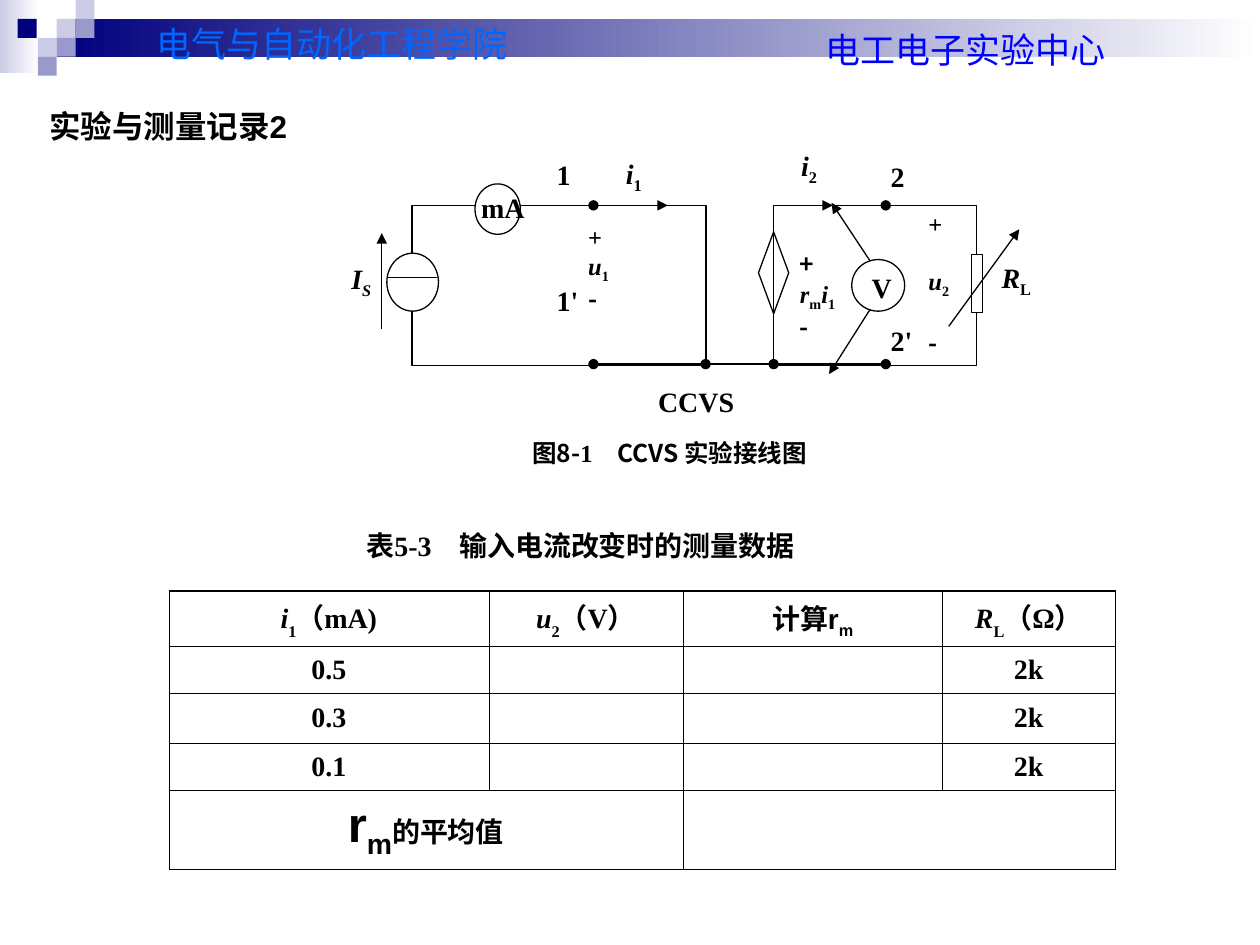
"""Build the CCVS experiment slide with its circuit diagram and record table."""
from dataclasses import dataclass
from typing import NamedTuple, Optional

from lxml.etree import SubElement
from pptx import Presentation
from pptx.dml.color import RGBColor
from pptx.enum.shapes import MSO_CONNECTOR, MSO_SHAPE
from pptx.enum.text import MSO_ANCHOR, PP_ALIGN
from pptx.oxml.ns import qn
from pptx.util import Inches, Pt


@dataclass(frozen=True)
class Theme:
    navy: str = "00007D"
    lilac: str = "CCCCE6"
    violet: str = "9999CC"
    white: str = "FFFFFF"
    black: str = "000000"
    center_blue: str = "0000FF"
    college_blue: str = "0066FF"
    serif: str = "Times New Roman"
    sans: str = "Arial"
    cjk: str = "Noto Sans CJK SC"
    banner: int = 20
    heading: int = 18
    body: int = 16
    small: int = 14
    symbol: int = 28
    wire: float = 0.75
    grid: float = 0.45
    frame: float = 0.96


THEME = Theme()


class Run(NamedTuple):
    text: str
    italic: bool = False
    baseline: int = 0
    font: Optional[str] = None
    size: Optional[int] = None


class Box(NamedTuple):
    left: float
    top: float
    width: float
    height: float

    def lengths(self):
        return [Inches(value) for value in self]


class Label(NamedTuple):
    box: Box
    lines: list
    size: int = THEME.body
    font: str = THEME.serif
    color: str = THEME.black
    bold: bool = True
    align: PP_ALIGN = PP_ALIGN.LEFT
    anchor: MSO_ANCHOR = MSO_ANCHOR.TOP
    spacing: Optional[float] = None


class Wire(NamedTuple):
    start: tuple
    end: tuple
    head: Optional[str] = None
    tail: Optional[str] = None


def symbol(letter: str, index: str, baseline: int = -25) -> list:
    """Return an italic letter with an upright subscript."""
    return [Run(letter, italic=True), Run(index, baseline=baseline)]


MINUS = [Run("-", font=THEME.cjk)]

SQUARES = [
    (0.45, 0.15, THEME.lilac), (0.6, 0, THEME.lilac), (0.6, 0.15, THEME.violet),
    (0.3, 0.3, THEME.lilac), (0.14, 0.15, THEME.navy), (0.45, 0.3, THEME.violet),
    (0.3, 0.45, THEME.violet),
]
TOP, BOTTOM = 1.63, 2.89
PORT_1, INPUT_END, OUTPUT_START, PORT_2 = 4.71, 5.6, 6.14, 7.03
LOOPS = [Box(OUTPUT_START, TOP, 1.61, 1.27), Box(3.27, TOP, 2.34, 1.27)]
WIRES = [
    Wire((PORT_1, BOTTOM), (PORT_2, BOTTOM), "oval", "oval"),
    Wire((PORT_1, TOP), (INPUT_END, TOP), "oval"),
    Wire((OUTPUT_START, TOP), (PORT_2, TOP), None, "oval"),
    Wire((OUTPUT_START, TOP), (OUTPUT_START, BOTTOM), None, "oval"),
    Wire((INPUT_END, TOP), (INPUT_END, BOTTOM), None, "oval"),
    Wire((4.93, TOP), (5.3, TOP), None, "triangle"),
    Wire((6.24, TOP), (6.61, TOP), None, "triangle"),
]
METER_LEADS = [(6.6, 1.61), (7.03, 2.26), (6.58, 2.97)]
DEVICES = [
    (MSO_SHAPE.OVAL, Box(3.77, 1.46, 0.36, 0.4), THEME.white),
    (MSO_SHAPE.OVAL, Box(3.07, 2.01, 0.41, 0.46), THEME.white),
    (MSO_SHAPE.OVAL, Box(6.76, 2.06, 0.42, 0.41), THEME.white),
    (MSO_SHAPE.RECTANGLE, Box(7.71, 2.02, 0.09, 0.46), THEME.white),
    (MSO_SHAPE.FLOWCHART_DECISION, Box(6.02, 1.84, 0.24, 0.65), None),
]
DEVICE_MARKS = [
    Wire((3.08, 2.2), (3.47, 2.2)),
    Wire((3.03, 2.61), (3.03, 1.85), None, "triangle"),
    Wire((7.53, 2.59), (8.09, 1.82), None, "triangle"),
]
HEADING = Label(Box(0.29, 0.8, 3.48, 0.4), [[Run("实验与测量记录2")]],
                THEME.heading, THEME.sans)
LABELS = [
    Label(Box(5.58, 0.32, 4.17, 0.27), [[Run("电工电子实验中心")]], THEME.banner, THEME.cjk,
          THEME.center_blue, False, PP_ALIGN.CENTER, spacing=0.5),
    Label(Box(0.9, 0.13, 3.47, 0.44), [[Run("电气与自动化工程学院")]], THEME.banner, THEME.sans,
          THEME.college_blue, False, PP_ALIGN.CENTER),
    Label(Box(2.81, 4.14, 4.92, 0.37), [[Run("表5-3　输入电流改变时的测量数据")]],
          anchor=MSO_ANCHOR.MIDDLE),
    Label(Box(3.65, 3.43, 3.33, 0.41),
          [[Run("图8-"), Run("1　", font=THEME.serif), Run("CCVS 实验接线图")]],
          THEME.small, THEME.cjk, align=PP_ALIGN.CENTER),
    Label(Box(4.57, 1.71, 0.61, 0.9), [[Run("+")], symbol("u", "1"), MINUS], THEME.small),
    Label(Box(6.25, 1.93, 1.02, 0.76),
          [[Run("+", font=THEME.cjk)], symbol("r", "m") + symbol("i", "1"), MINUS], THEME.small),
    Label(Box(7.27, 1.61, 0.61, 0.35), [[Run("+")]], THEME.small),
    Label(Box(7.27, 2.06, 0.61, 0.35), [symbol("u", "2")], THEME.small),
    Label(Box(7.27, 2.55, 0.61, 0.35), [MINUS], THEME.small),
    Label(Box(4.87, 1.19, 0.84, 0.4), [symbol("i", "1")]),
    Label(Box(6.26, 1.13, 0.64, 0.4), [symbol("i", "2")]),
    Label(Box(4.32, 1.2, 0.61, 0.4), [[Run("1")]]),
    Label(Box(4.32, 2.2, 0.61, 0.4), [[Run("1'")]]),
    Label(Box(6.97, 1.22, 0.61, 0.4), [[Run("2")]]),
    Label(Box(6.97, 2.52, 0.61, 0.4), [[Run("2'")]]),
    Label(Box(4.87, 3, 1.31, 0.48), [[Run("CCVS")]], align=PP_ALIGN.CENTER),
    Label(Box(7.85, 2.02, 0.51, 0.4), [symbol("R", "L")]),
    Label(Box(3.72, 1.46, 0.67, 0.4), [[Run("mA")]]),
    Label(Box(2.69, 2.03, 0.5, 0.4), [[Run("I", True), Run("S", True, -25)]]),
    Label(Box(6.82, 2.1, 0.5, 0.4), [[Run("V")]]),
]
COLUMNS = [2.54, 1.54, 2.06, 1.37]
ROWS = [0.44, 0.37, 0.4, 0.37, 0.63]
RECORDS = [
    [symbol("i", "1", -30) + [Run("（mA)")], symbol("u", "2", -30) + [Run("（V）")],
     [Run("计算r", font=THEME.sans), Run("m", False, -25, THEME.sans)],
     symbol("R", "L", -30) + [Run("（Ω）")]],
    *[[[Run(current)], [], [], [Run("2k")]] for current in ("0.5", "0.3", "0.1")],
    [[Run("r", font=THEME.sans, size=THEME.symbol),
      Run("m", False, -25, THEME.sans, THEME.symbol), Run("的平均值")], [], [], []],
]


def rgb(color: str) -> RGBColor:
    """Turn a hex string into a colour."""
    return RGBColor.from_string(color)


def write_line(paragraph, runs: list, style: Label) -> None:
    """Fill one paragraph with runs in the label's style."""
    paragraph.alignment = style.align
    if style.spacing:
        paragraph.line_spacing = style.spacing
    font = paragraph.font
    font.size, font.bold, font.name = Pt(style.size), style.bold, style.font
    font.color.rgb = rgb(style.color)
    for part in runs:
        run = paragraph.add_run()
        run.text = part.text
        if part.italic:
            run.font.italic = True
        if part.font:
            run.font.name = part.font
        if part.size:
            run.font.size = Pt(part.size)
        if part.baseline:
            run.font._element.set("baseline", str(part.baseline * 1000))


def write_label(holder, label: Label) -> None:
    """Place a text holder and write the label's lines into it."""
    holder.left, holder.top, holder.width, holder.height = label.box.lengths()
    frame = holder.text_frame
    frame.word_wrap, frame.vertical_anchor = True, label.anchor
    for number, runs in enumerate(label.lines):
        write_line(frame.add_paragraph() if number else frame.paragraphs[0], runs, label)


def style_line(line, head: Optional[str] = None, tail: Optional[str] = None) -> None:
    """Draw a black wire line with optional end marks."""
    line.color.rgb, line.width = rgb(THEME.black), Pt(THEME.wire)
    for tag, mark in (("a:headEnd", head), ("a:tailEnd", tail)):
        if mark:
            SubElement(line._get_or_add_ln(), qn(tag), type=mark)


def add_figure(slide, kind: MSO_SHAPE, box: Box, fill: Optional[str], outlined: bool = True):
    """Add a preset shape, filled or hollow, with or without an outline."""
    figure = slide.shapes.add_shape(kind, *box.lengths())
    figure.shadow.inherit = False
    if fill:
        figure.fill.solid()
        figure.fill.fore_color.rgb = rgb(fill)
    else:
        figure.fill.background()
    if outlined:
        style_line(figure.line)
    else:
        figure.line.fill.background()
    return figure


def add_fade(slide, box: Box, color: str) -> None:
    """Add a band fading from a colour to white."""
    fill = add_figure(slide, MSO_SHAPE.RECTANGLE, box, None, False).fill
    fill.gradient()
    fill.gradient_angle = 0
    for stop, shade in zip(fill.gradient_stops, (color, THEME.white)):
        stop.color.rgb = rgb(shade)


def add_wire(slide, wire: Wire) -> None:
    """Add a straight wire."""
    ends = [Inches(value) for value in (*wire.start, *wire.end)]
    connector = slide.shapes.add_connector(MSO_CONNECTOR.STRAIGHT, *ends)
    style_line(connector.line, wire.head, wire.tail)
    SubElement(connector._element.spPr, qn("a:effectLst"))


def add_leads(slide) -> None:
    """Add the two voltmeter leads as one open outline."""
    start, *rest = [(Inches(x), Inches(y)) for x, y in METER_LEADS]
    builder = slide.shapes.build_freeform(*start)
    builder.add_line_segments(rest, close=False)
    leads = builder.convert_to_shape()
    leads.shadow.inherit = False
    leads.fill.background()
    style_line(leads.line, "triangle", "triangle")


def border_cell(cell, row: int) -> None:
    """Rule the four sides of a cell, heavier on the table's top and bottom."""
    properties = cell._tc.get_or_add_tcPr()
    heavy = {"a:lnT": row == 0, "a:lnB": row == len(ROWS) - 1}
    for position, tag in enumerate(("a:lnL", "a:lnR", "a:lnT", "a:lnB")):
        width = Pt(THEME.frame if heavy.get(tag) else THEME.grid)
        side = properties.makeelement(qn(tag), {"w": str(width)})
        SubElement(SubElement(side, qn("a:solidFill")), qn("a:srgbClr"), val=THEME.black)
        properties.insert(position, side)


def add_records(slide) -> None:
    """Add the measurement table."""
    box = Box(1.34, 4.69, sum(COLUMNS), sum(ROWS))
    table = slide.shapes.add_table(len(ROWS), len(COLUMNS), *box.lengths()).table
    table.first_row = table.horz_banding = False
    for column, width in zip(table.columns, COLUMNS):
        column.width = Inches(width)
    style = Label(box, [], align=PP_ALIGN.CENTER)
    for row, (height, records) in enumerate(zip(ROWS, RECORDS)):
        table.rows[row].height = Inches(height)
        for column, runs in enumerate(records):
            cell = table.cell(row, column)
            cell.fill.background()
            cell.vertical_anchor = MSO_ANCHOR.MIDDLE
            cell.margin_top = cell.margin_bottom = 0
            write_line(cell.text_frame.paragraphs[0], runs, style)
            border_cell(cell, row)
    for column in (0, 2):
        table.cell(len(ROWS) - 1, column).merge(table.cell(len(ROWS) - 1, column + 1))


def main() -> None:
    """Build and save the slide."""
    deck = Presentation()
    deck.slide_width, deck.slide_height = Inches(10), Inches(7.5)
    slide = deck.slides.add_slide(deck.slide_layouts[5])
    add_fade(slide, Box(0, 0, 0.31, 0.58), THEME.lilac)
    add_fade(slide, Box(0.45, 0.15, 9.55, 0.3), THEME.navy)
    for left, top, color in SQUARES:
        add_figure(slide, MSO_SHAPE.RECTANGLE, Box(left, top, 0.15, 0.15), color, False)
    write_label(slide.shapes.title, HEADING)
    add_records(slide)
    for loop in LOOPS:
        add_figure(slide, MSO_SHAPE.RECTANGLE, loop, None)
    for wire in WIRES:
        add_wire(slide, wire)
    add_leads(slide)
    for kind, box, fill in DEVICES:
        add_figure(slide, kind, box, fill)
    for mark in DEVICE_MARKS:
        add_wire(slide, mark)
    for label in LABELS:
        write_label(slide.shapes.add_textbox(*label.box.lengths()), label)
    deck.save("out.pptx")


if __name__ == "__main__":
    main()
